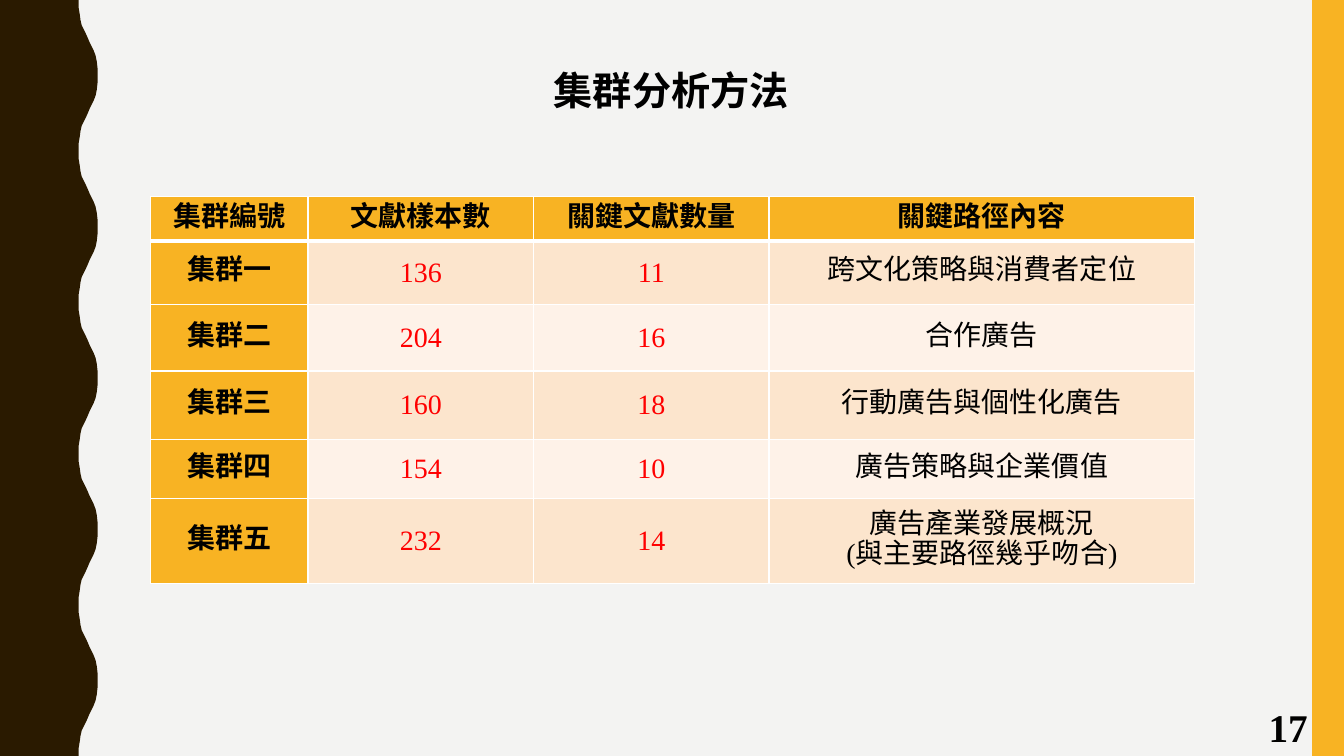
from lxml import etree
from pptx import Presentation
from pptx.dml.color import RGBColor
from pptx.enum.shapes import MSO_SHAPE
from pptx.enum.text import MSO_ANCHOR, PP_ALIGN
from pptx.oxml import parse_xml
from pptx.oxml.ns import nsdecls
from pptx.util import Cm, Pt

SERIF, SANS = "Times New Roman", "Calibri"
BLACK, RED, WHITE = "000000", "FF0000", "FFFFFF"
BROWN, AMBER, PEACH, CREAM = "2A1A00", "F8B323", "FCE5CD", "FEF2E8"


def paint(fill, color):
    fill.solid()
    fill.fore_color.rgb = RGBColor.from_string(color)


def write(p, text, color=BLACK, **font):
    r = p.add_run()
    r.text = text
    for name, value in font.items():
        setattr(r.font, name, value)
    paint(r.font.fill, color)


prs = Presentation()
prs.slide_width, prs.slide_height = Cm(33.87), Cm(19.05)
s = prs.slides.add_slide(prs.slide_layouts[5])
paint(s.background.fill, "F3F3F2")

# Wavy left edge: five equal waves, in hundredths of a centimetre
WAVE = 381
rise = [(198, 0), (198, 18), (201, 36), (203, 51), (206, 64), (211, 74), (216, 84),
        (221, 95), (226, 107), (231, 117), (236, 127), (241, 140), (244, 155), (246, 173)]
fall = [(x, WAVE - y) for x, y in reversed(rise)]
edge = [(x, y + n * WAVE) for n in range(5) for x, y in rise + [(246, 190)] + fall]
builder = s.shapes.build_freeform(0, 0, scale=Cm(0.01))
builder.add_line_segments(edge + [(0, 5 * WAVE)], close=True)
wave = builder.convert_to_shape()
stripe = s.shapes.add_shape(MSO_SHAPE.RECTANGLE, Cm(33.07), 0, Cm(0.8), Cm(19.05))
for sp, color in ((wave, BROWN), (stripe, AMBER)):
    sp.shadow.inherit = False
    paint(sp.fill, color)
    sp.line.fill.background()

# Title and page number
title = s.shapes.title
title.left, title.top, title.width, title.height = Cm(13.03), Cm(1.55), Cm(7.77), Cm(1.45)
p = title.text_frame.paragraphs[0]
p.alignment = PP_ALIGN.CENTER
write(p, "集群分析方法", name=SANS, size=Pt(28), bold=True)

page = s.shapes.add_textbox(Cm(31.72), Cm(17.6), Cm(1.65), Cm(1.45))
page.text_frame.word_wrap = True
write(page.text_frame.paragraphs[0], "17", name=SERIF, size=Pt(28), bold=True)

# Cluster table
rows = [
    ("集群編號", "文獻樣本數", "關鍵文獻數量", "關鍵路徑內容"),
    ("集群一", "136", "11", "跨文化策略與消費者定位"),
    ("集群二", "204", "16", "合作廣告"),
    ("集群三", "160", "18", "行動廣告與個性化廣告"),
    ("集群四", "154", "10", "廣告策略與企業價值"),
    ("集群五", "232", "14", "廣告產業發展概況\n(與主要路徑幾乎吻合)"),
]
col_widths = [3.96, 5.69, 5.93, 10.73]
row_heights = [1.12, 1.6, 1.68, 1.72, 1.5, 2.13]
table = s.shapes.add_table(len(rows), len(col_widths), Cm(3.8), Cm(4.95),
                           Cm(sum(col_widths)), Cm(sum(row_heights))).table
for col, width in zip(table.columns, col_widths):
    col.width = Cm(width)
for row, height in zip(table.rows, row_heights):
    row.height = Cm(height)

cell_format = {"vertical_anchor": MSO_ANCHOR.MIDDLE, "margin_left": Cm(0.18),
               "margin_right": Cm(0.18), "margin_top": 0, "margin_bottom": 0}
for i, texts in enumerate(rows):
    for j, text in enumerate(texts):
        cell = table.cell(i, j)
        for name, value in cell_format.items():
            setattr(cell, name, value)
        heading = i == 0 or j == 0
        paint(cell.fill, AMBER if heading else PEACH if i % 2 else CREAM)
        font = SANS if j == 3 and 0 < i < 5 else SERIF
        color = RED if not heading and j < 3 else BLACK
        for k, line in enumerate(text.split("\n")):
            tf = cell.text_frame
            p = tf.add_paragraph() if k else tf.paragraphs[0]
            p.alignment, p.line_spacing = PP_ALIGN.CENTER, Pt(22)
            write(p, line, color, name=font, size=Pt(20), bold=heading)
        # The rule under the header row is thicker than the others
        widths = {"L": 1, "R": 1, "T": 3 if i == 1 else 1, "B": 3 if i == 0 else 1}
        tc_pr = cell._tc.get_or_add_tcPr()
        for n, (side, width) in enumerate(widths.items()):
            tc_pr.insert(n, parse_xml(
                f'<a:ln{side} {nsdecls("a")} w="{Pt(width)}"><a:solidFill>'
                f'<a:srgbClr val="{WHITE}"/></a:solidFill></a:ln{side}>'))

prs.save("out.pptx")
